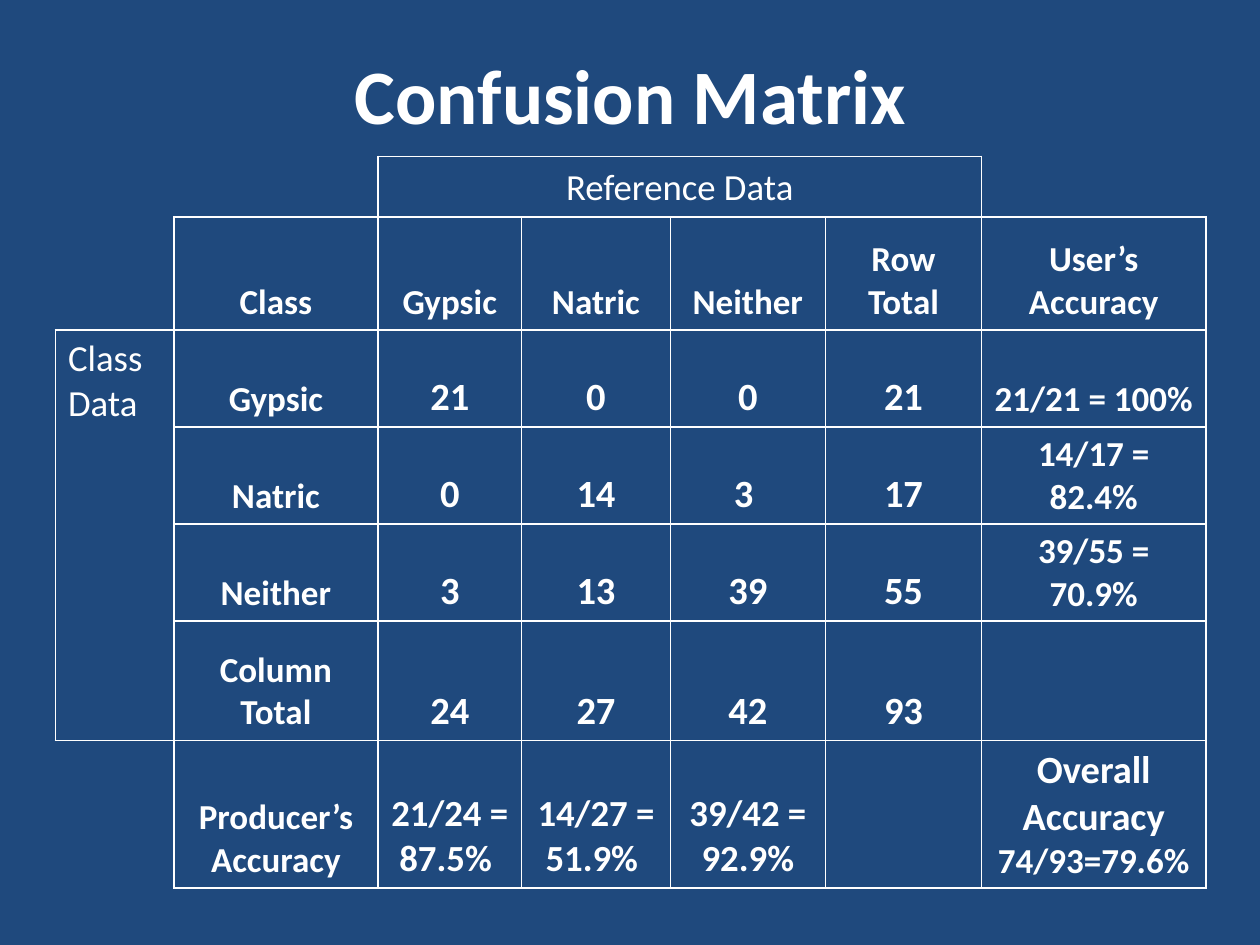
from dataclasses import dataclass

from lxml.etree import SubElement
from pptx import Presentation
from pptx.dml.color import RGBColor
from pptx.enum.text import MSO_ANCHOR as Anchor, PP_ALIGN as Align
from pptx.oxml.ns import qn
from pptx.util import Pt


@dataclass(frozen=True)
class Theme:
    """Colours, font and type sizes of the slide."""
    background: str = "1F497D"
    ink: str = "FFFFFF"
    font: str = "Calibri"
    title: int = 44
    count: int = 22
    heading: int = 21
    label: int = 20
    rule: float = 1


THEME = Theme()
SIDES = "LRTB"
COLUMNS = [67.7, 116.6, 82.1, 85, 88.6, 89.3, 128.2]
ROWS = [34.6, 64.8, 55.4, 55.4, 55.4, 68.4, 84.2]
OPEN_CELLS = {(0, 0): "", (0, 1): "RB", (0, 6): "LB", (1, 0): "RB", (6, 0): "TR"}
MATRIX = [
    ["", "", "Reference Data", "", "", "", ""],
    ["", "Class", "Gypsic", "Natric", "Neither", "Row Total", "User’s Accuracy"],
    ["Class Data", "Gypsic", "21", "0", "0", "21", "21/21 = 100%"],
    ["", "Natric", "0", "14", "3 ", "17", "14/17 = 82.4%"],
    ["", "Neither", "3", "13", "39", "55", "39/55 = 70.9%"],
    ["", "Column Total", "24", "27", "42", "93", ""],
    ["", "Producer’s Accuracy", "21/24 = 87.5% ", "14/27 = 51.9% ", "39/42 = 92.9%", "", ""],
]
OVERALL = [("Overall Accuracy", THEME.count), (" 74/93=79.6%", THEME.label)]


def write(paragraph, text, size, bold=True):
    """Add one run in the theme's font and ink."""
    run = paragraph.add_run()
    run.text = text
    run.font.name = THEME.font
    run.font.size = Pt(size)
    run.font.bold = bold
    run.font.color.rgb = RGBColor.from_string(THEME.ink)


def rule_cell(cell, ruled_sides):
    """Draw the named sides of a cell and clear the others."""
    properties = cell._tc.get_or_add_tcPr()
    for side in SIDES:
        line = SubElement(properties, qn(f"a:ln{side}"), w=str(Pt(THEME.rule)))
        if side in ruled_sides:
            ink = SubElement(line, qn("a:solidFill"))
            SubElement(ink, qn("a:srgbClr"), val=THEME.ink)
        else:
            SubElement(line, qn("a:noFill"))
    cell.fill.background()


def size_of(row, column):
    """Give the type size for a place in the matrix."""
    if row == 0 or column == 0:
        return THEME.heading
    if row == 1 or column in (1, 6):
        return THEME.label
    return THEME.heading if row == 6 else THEME.count


def add_title(slide, left, top, width, height):
    """Place the centred slide title in its box."""
    frame = slide.shapes.add_textbox(Pt(left), Pt(top), Pt(width), Pt(height)).text_frame
    frame.word_wrap = True
    frame.vertical_anchor = Anchor.MIDDLE
    heading = frame.paragraphs[0]
    heading.alignment = Align.CENTER
    write(heading, "Confusion Matrix", THEME.title)


def add_matrix(slide, left, top, width, height):
    """Place the confusion matrix with its spanning headings in its box."""
    frame = slide.shapes.add_table(
        len(ROWS), len(COLUMNS), Pt(left), Pt(top), Pt(width), Pt(height))
    matrix = frame.table
    matrix.first_row = matrix.horz_banding = False
    for column, share in zip(matrix.columns, COLUMNS):
        column.width = Pt(width * share / sum(COLUMNS))
    for row, share in zip(matrix.rows, ROWS):
        row.height = Pt(height * share / sum(ROWS))
    for r, texts in enumerate(MATRIX):
        for c, text in enumerate(texts):
            cell = matrix.cell(r, c)
            rule_cell(cell, OPEN_CELLS.get((r, c), SIDES))
            cell.vertical_anchor = Anchor.BOTTOM if c else Anchor.TOP
            entry = cell.text_frame.paragraphs[0]
            entry.alignment = Align.CENTER if c else Align.LEFT
            if text:
                write(entry, text, size_of(r, c), bold=r > 0 and c > 0)
    for text, size in OVERALL:
        write(matrix.cell(6, 6).text_frame.paragraphs[0], text, size)
    matrix.cell(0, 2).merge(matrix.cell(0, 5))
    matrix.cell(2, 0).merge(matrix.cell(5, 0))


def main():
    """Build and save the slide."""
    deck = Presentation()
    deck.slide_width, deck.slide_height = Pt(720), Pt(540)
    slide = deck.slides.add_slide(deck.slide_layouts[6])
    slide.background.fill.solid()
    slide.background.fill.fore_color.rgb = RGBColor.from_string(THEME.background)
    left, width = 31.7, sum(COLUMNS)
    add_title(slide, left, 17.3, width, 72)
    add_matrix(slide, left, 89.3, width, sum(ROWS))
    deck.save("out.pptx")


if __name__ == "__main__":
    main()
